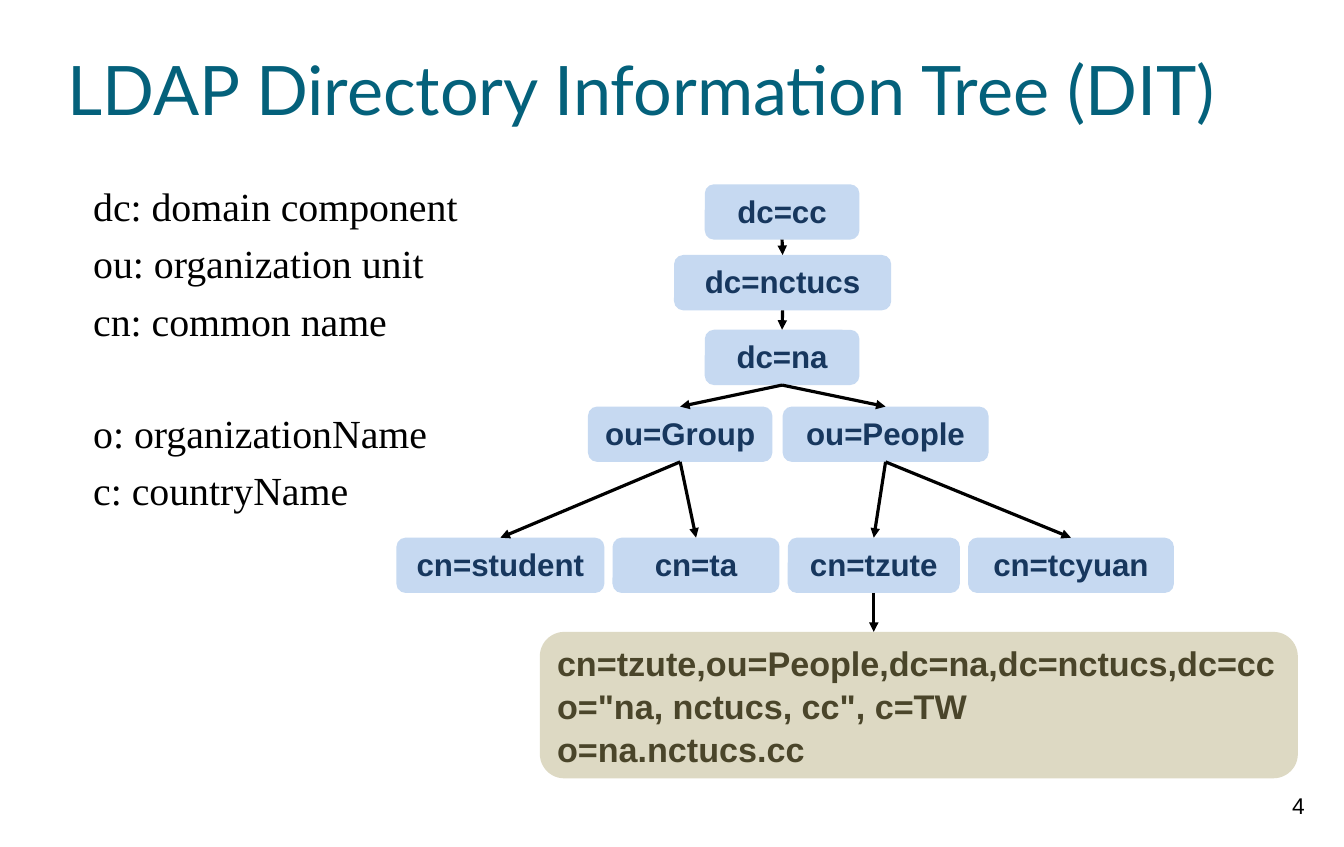
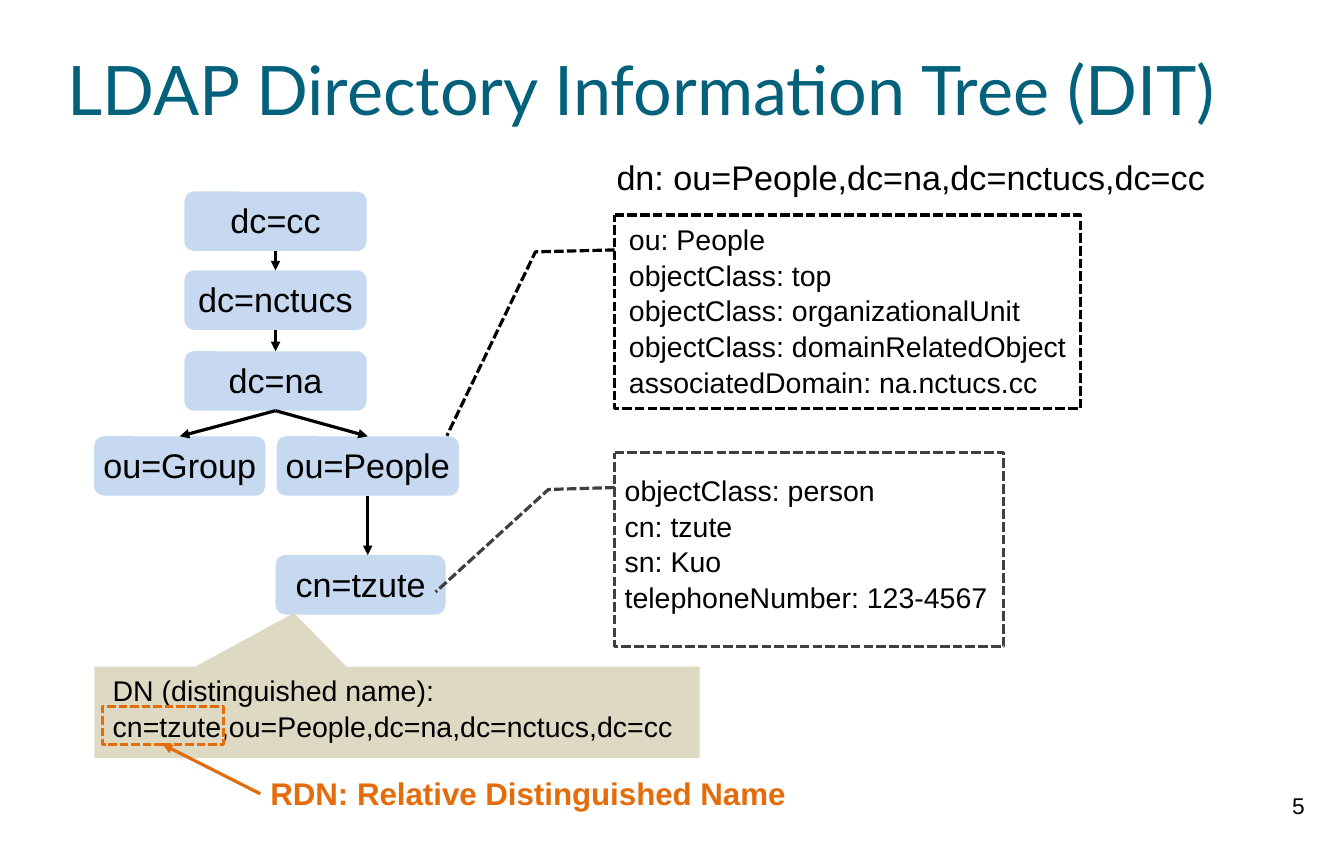
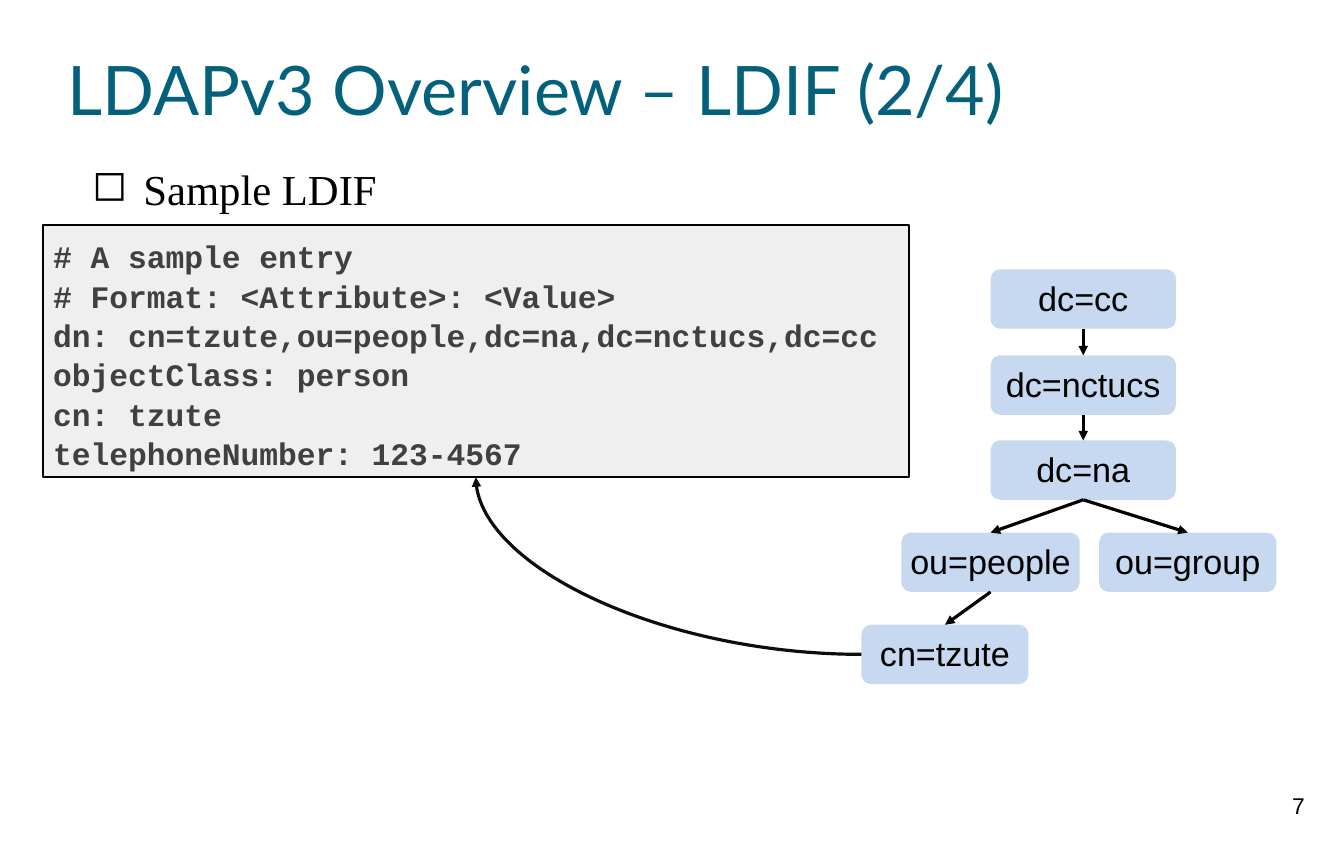
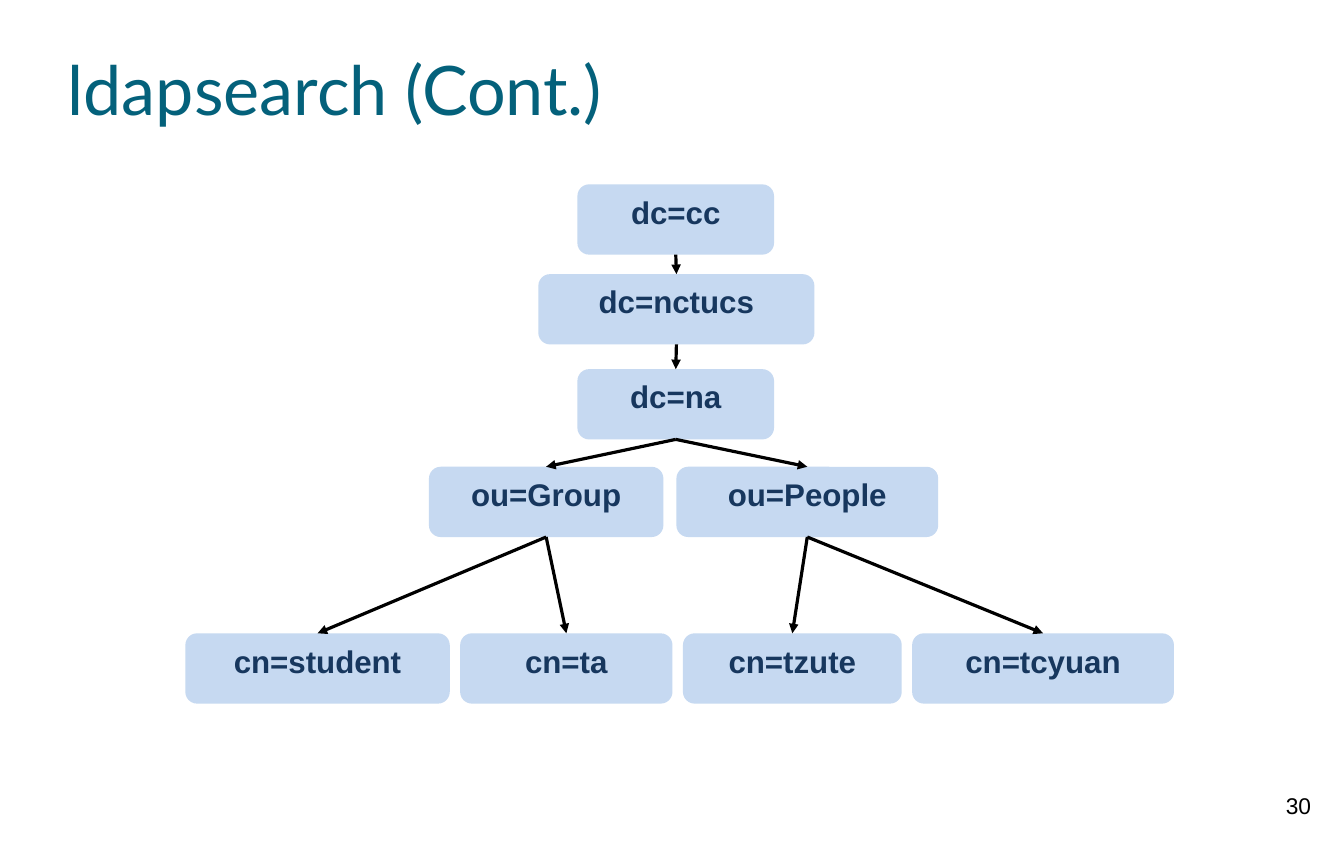
import dataclasses

import lxml.etree
import pptx
import pptx.dml.color
import pptx.enum.dml
import pptx.enum.shapes
import pptx.enum.text
import pptx.oxml.ns
import pptx.util

RGBColor = pptx.dml.color.RGBColor
SHAPE = pptx.enum.shapes.MSO_SHAPE
CONNECTOR = pptx.enum.shapes.MSO_CONNECTOR
ALIGN = pptx.enum.text.PP_ALIGN
ANCHOR = pptx.enum.text.MSO_ANCHOR
DASH = pptx.enum.dml.MSO_LINE.SQUARE_DOT

EMU_PER_PX = 9144
SLIDE_WIDTH, SLIDE_HEIGHT = 1312, 827

BLACK = RGBColor(0x00, 0x00, 0x00)
INK = RGBColor(0x0D, 0x0D, 0x0D)
GRAY = RGBColor(0x40, 0x40, 0x40)
TEAL = RGBColor(0x04, 0x61, 0x7B)
NAVY = RGBColor(0x17, 0x37, 0x5E)
LIGHT_BLUE = RGBColor(0xC6, 0xD9, 0xF1)
TAN = RGBColor(0xDD, 0xD9, 0xC3)
BROWN = RGBColor(0x4A, 0x45, 0x2A)
ORANGE = RGBColor(0xE4, 0x6C, 0x0A)
CODE_FILL = RGBColor(0xEF, 0xEF, 0xEF)

SANS, SERIF, MONO, TITLE_FONT = "Arial", "Times New Roman", "Courier New", "Lato"
BODY_SPACING = 1.2
LIST_SPACING = 1.05
TOP, LEFT, BOTTOM = 0, 1, 2


@dataclasses.dataclass
class Node:
    text: str
    parent: str
    left: int
    top: int
    width: int
    vertical_edge: bool = False


BOLD_NODE = dict(size=22, color=NAVY, bold=True)
PLAIN_NODE = dict(size=24, color=BLACK)

FULL_TREE_SIZE = (759, 399)
FULL_TREE = [
    Node("dc=cc", "", 301, 0, 151),
    Node("dc=nctucs", "dc=cc", 271, 69, 212),
    Node("dc=na", "dc=nctucs", 301, 142, 151),
    Node("ou=Group", "dc=na", 187, 217, 180),
    Node("ou=People", "dc=na", 377, 217, 201),
    Node("cn=student", "ou=Group", 0, 345, 203),
    Node("cn=ta", "ou=Group", 211, 345, 163),
    Node("cn=tzute", "ou=People", 382, 345, 168),
    Node("cn=tcyuan", "ou=People", 558, 345, 201),
]
ENTRY_TREE_SIZE = (356, 413)
ENTRY_TREE = [
    Node("dc=cc", "", 88, 0, 178),
    Node("dc=nctucs", "dc=cc", 88, 77, 178),
    Node("dc=na", "dc=nctucs", 88, 156, 178),
    Node("ou=Group", "dc=na", 0, 239, 167),
    Node("ou=People", "dc=na", 178, 239, 178),
    Node("cn=tzute", "ou=People", 177, 355, 166, vertical_edge=True),
]
LDIF_TREE_SIZE = (405, 405)
LDIF_TREE = [
    Node("dc=cc", "", 126, 0, 181),
    Node("dc=nctucs", "dc=cc", 126, 84, 181),
    Node("dc=na", "dc=nctucs", 126, 167, 181),
    Node("ou=people", "dc=na", 39, 257, 174),
    Node("ou=group", "dc=na", 232, 257, 173),
    Node("cn=tzute", "ou=people", 0, 347, 163),
]


def px(length):
    return pptx.util.Emu(round(length * EMU_PER_PX))


def write_text(shape, text, size=24, color=BLACK, font=SANS, bold=False, align=ALIGN.LEFT,
               anchor=ANCHOR.TOP, insets=(10, 5, 10, 5), wrap=True, spacing=1.0):
    frame = shape.text_frame
    frame.word_wrap = wrap
    frame.vertical_anchor = anchor
    frame.margin_left, frame.margin_top, frame.margin_right, frame.margin_bottom = map(px, insets)
    for index, line in enumerate(text.split("\n")):
        paragraph = frame.add_paragraph() if index else frame.paragraphs[0]
        paragraph.alignment = align
        paragraph.line_spacing = spacing
        run = paragraph.add_run()
        run.text = line
        run.font.size = pptx.util.Pt(size)
        run.font.name = font
        run.font.bold = bold
        run.font.color.rgb = color
    return frame


def add_text(slide, box, text, **text_format):
    return write_text(slide.shapes.add_textbox(*map(px, box)), text, **text_format)


def add_box(slide, kind, box, fill=None, line=None, line_width=2.25, dash=None):
    shape = slide.shapes.add_shape(kind, *map(px, box))
    shape.shadow.inherit = False
    if fill is None:
        shape.fill.background()
    else:
        shape.fill.solid()
        shape.fill.fore_color.rgb = fill
    if line is None:
        shape.line.fill.background()
    else:
        shape.line.color.rgb = line
        shape.line.width = pptx.util.Pt(line_width)
        shape.line.dash_style = dash
    return shape


def add_arrow(slide, kind=CONNECTOR.STRAIGHT, start=(0, 0), color=BLACK):
    x, y = map(px, start)
    arrow = slide.shapes.add_connector(kind, x, y, x, y)
    arrow.line.color.rgb = color
    arrow.line.width = pptx.util.Pt(2.25)
    qn = pptx.oxml.ns.qn
    lxml.etree.SubElement(arrow.line._get_or_add_ln(), qn("a:tailEnd"), type="triangle")
    lxml.etree.SubElement(arrow._element.spPr, qn("a:effectLst"))
    return arrow


def add_bullet(paragraph, character, margin, indent):
    properties = paragraph._p.get_or_add_pPr()
    properties.set("marL", str(px(margin)))
    properties.set("indent", str(px(indent)))
    lxml.etree.SubElement(properties, pptx.oxml.ns.qn("a:buChar"), char=character)


def add_base_slide(presentation, title, number):
    slide = presentation.slides.add_slide(presentation.slide_layouts[6])
    add_text(slide, (66, 17, 1181, 138), title, size=48, font=TITLE_FONT, color=TEAL,
             anchor=ANCHOR.MIDDLE, insets=(0, 0, 0, 0))
    add_text(slide, (1228, 763, 79, 63), str(number), size=16, align=ALIGN.CENTER,
             insets=(10, 10, 10, 10))
    return slide


def add_tree(slide, box, nodes, design_size, node_height, node_format):
    left, top, width, height = box
    scale_x, scale_y = width / design_size[0], height / design_size[1]
    shapes = {}
    for node in nodes:
        node_box = (left + node.left * scale_x, top + node.top * scale_y,
                    node.width * scale_x, node_height * scale_y)
        shape = add_box(slide, SHAPE.ROUNDED_RECTANGLE, node_box, fill=LIGHT_BLUE)
        write_text(shape, node.text, align=ALIGN.CENTER, wrap=False, **node_format)
        shapes[node.text] = shape
        if node.parent:
            arrow = add_arrow(slide)
            arrow.begin_connect(shapes[node.parent], BOTTOM)
            if node.vertical_edge:
                arrow.end_x, arrow.end_y = arrow.begin_x, shape.top
            else:
                arrow.end_connect(shape, TOP)
    return shapes


def add_entry(slide, box, text, color, pointer, insets):
    callout = add_box(slide, SHAPE.LINE_CALLOUT_2, box, line=color, dash=DASH)
    for index, value in enumerate((0.18, 0, 0.19, -0.17) + pointer):
        callout.adjustments[index] = value
    write_text(callout, text, size=20, insets=insets, spacing=LIST_SPACING)


def add_distinguished_name(slide, box):
    left, top, width, height = box
    callout = add_box(slide, SHAPE.RECTANGULAR_CALLOUT, (left, top, width, 89), fill=TAN)
    callout.adjustments[0], callout.adjustments[1] = -0.17, -1.09
    write_text(callout, "DN (distinguished name):\ncn=tzute,ou=People,dc=na,dc=nctucs,dc=cc",
               size=20, insets=(18, 5, 5, 5), spacing=LIST_SPACING)
    relative_name = add_box(slide, SHAPE.RECTANGLE, (left + 8, top + 39, 118, 37),
                            line=ORANGE, line_width=2, dash=DASH)
    arrow = add_arrow(slide, start=(left + 162, top + 124), color=ORANGE)
    arrow.end_connect(relative_name, BOTTOM)
    add_text(slide, (left + 162, top + 100, 589, height - 100),
             "RDN: Relative Distinguished Name", size=22, color=ORANGE, bold=True)


def build_tree_overview(presentation):
    slide = add_base_slide(presentation, "LDAP Directory Information Tree (DIT)", 4)
    frame = add_text(slide, (91, 168, 500, 542),
                     "dc: domain component\nou: organization unit\ncn: common name\n"
                     "o: organizationName\nc: countryName",
                     size=28, font=SERIF, insets=(0, 0, 0, 0), spacing=BODY_SPACING)
    frame.paragraphs[3].space_before = pptx.util.Pt(38.6)
    shapes = add_tree(slide, (387, 180, 759, 399), FULL_TREE, FULL_TREE_SIZE, 54, BOLD_NODE)
    entry = add_box(slide, SHAPE.ROUNDED_RECTANGLE, (527, 617, 740, 143), fill=TAN)
    write_text(entry, "cn=tzute,ou=People,dc=na,dc=nctucs,dc=cc\n"
               'o="na, nctucs, cc", c=TW\no=na.nctucs.cc',
               size=24, color=BROWN, bold=True, anchor=ANCHOR.MIDDLE, spacing=LIST_SPACING)
    arrow = add_arrow(slide)
    arrow.begin_connect(shapes["cn=tzute"], BOTTOM)
    arrow.end_x, arrow.end_y = arrow.begin_x, entry.top


def build_tree_entries(presentation):
    slide = add_base_slide(presentation, "LDAP Directory Information Tree (DIT)", 5)
    add_tree(slide, (92, 187, 356, 413), ENTRY_TREE, ENTRY_TREE_SIZE, 58, PLAIN_NODE)
    add_distinguished_name(slide, (92, 651, 591, 147))
    add_entry(slide, (600, 442, 380, 189),
              "objectClass: person\ncn: tzute\nsn: Kuo\ntelephoneNumber: 123-4567",
              GRAY, (0.72, -0.46), (10, 18, 5, 5))
    add_entry(slide, (600, 210, 455, 189),
              "ou: People\nobjectClass: top\nobjectClass: organizationalUnit\n"
              "objectClass: domainRelatedObject\nassociatedDomain: na.nctucs.cc",
              BLACK, (1.14, -0.36), (14, 5, 5, 5))
    add_text(slide, (592, 148, 628, 50), "dn: ou=People,dc=na,dc=nctucs,dc=cc", size=24)


def build_sample_ldif(presentation):
    slide = add_base_slide(presentation, "LDAPv3 Overview – LDIF (2/4)", 7)
    heading = add_text(slide, (65, 149, 1185, 58), "Sample LDIF", size=30, font=SERIF,
                       insets=(0, 0, 0, 0), spacing=BODY_SPACING)
    add_bullet(heading.paragraphs[0], "◻", 75, -50)
    code = add_box(slide, SHAPE.RECTANGLE, (42, 220, 845, 246), fill=CODE_FILL,
                   line=BLACK, line_width=1.5)
    write_text(code, "# A sample entry\n# Format: <Attribute>: <Value>\n"
               "dn: cn=tzute,ou=people,dc=na,dc=nctucs,dc=cc\n"
               "objectClass: person\ncn: tzute\ntelephoneNumber: 123-4567",
               size=22, font=MONO, color=GRAY, bold=True, insets=(10, 10, 10, 10),
               spacing=LIST_SPACING)
    shapes = add_tree(slide, (841, 263, 405, 405), LDIF_TREE, LDIF_TREE_SIZE, 58, PLAIN_NODE)
    curve = add_arrow(slide, kind=CONNECTOR.CURVE, color=INK)
    curve.begin_connect(shapes["cn=tzute"], LEFT)
    curve.end_connect(code, BOTTOM)
    geometry = curve._element.spPr.find(pptx.oxml.ns.qn("a:prstGeom"))
    geometry.set("prst", "curvedConnector2")


def build_search_tree(presentation):
    slide = add_base_slide(presentation, "ldapsearch (Cont.)", 30)
    add_tree(slide, (181, 180, 965, 507), FULL_TREE, FULL_TREE_SIZE, 54, BOLD_NODE)


def main():
    presentation = pptx.Presentation()
    presentation.slide_width = px(SLIDE_WIDTH)
    presentation.slide_height = px(SLIDE_HEIGHT)
    build_tree_overview(presentation)
    build_tree_entries(presentation)
    build_sample_ldif(presentation)
    build_search_tree(presentation)
    presentation.save("out.pptx")


if __name__ == "__main__":
    main()
